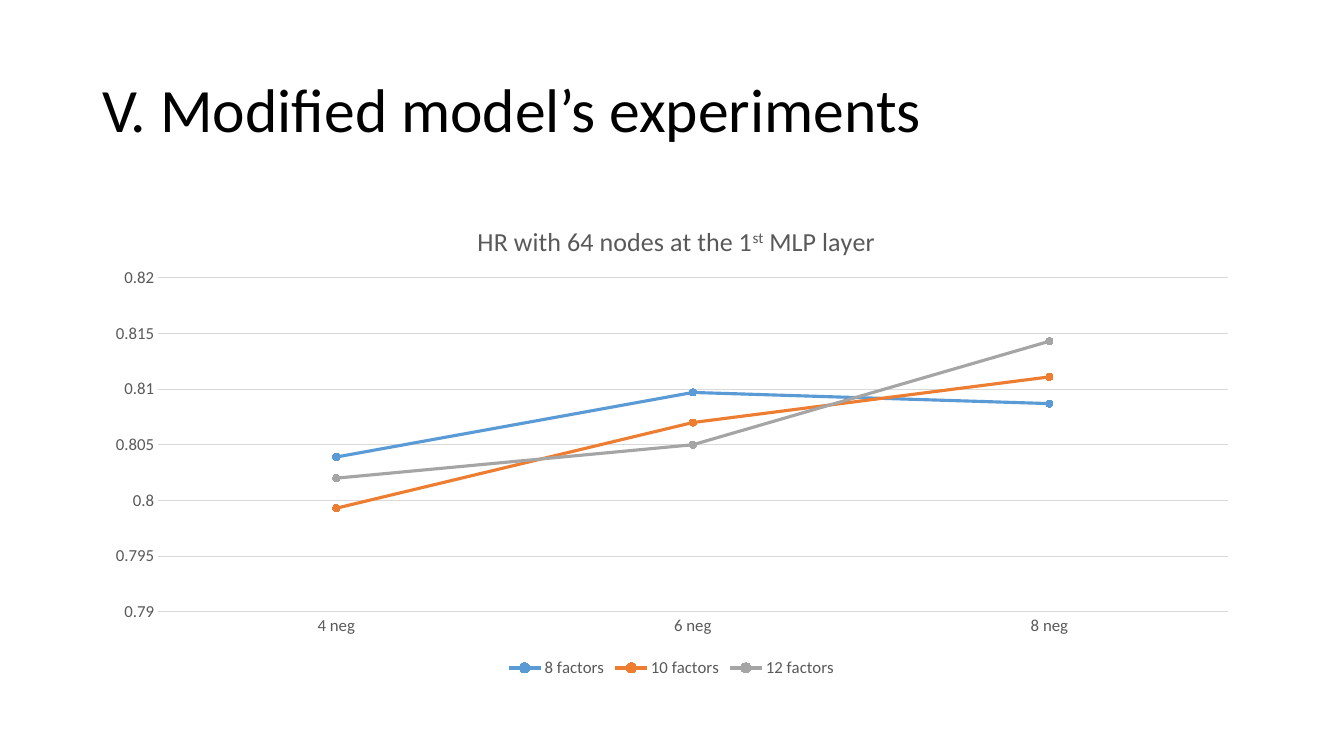
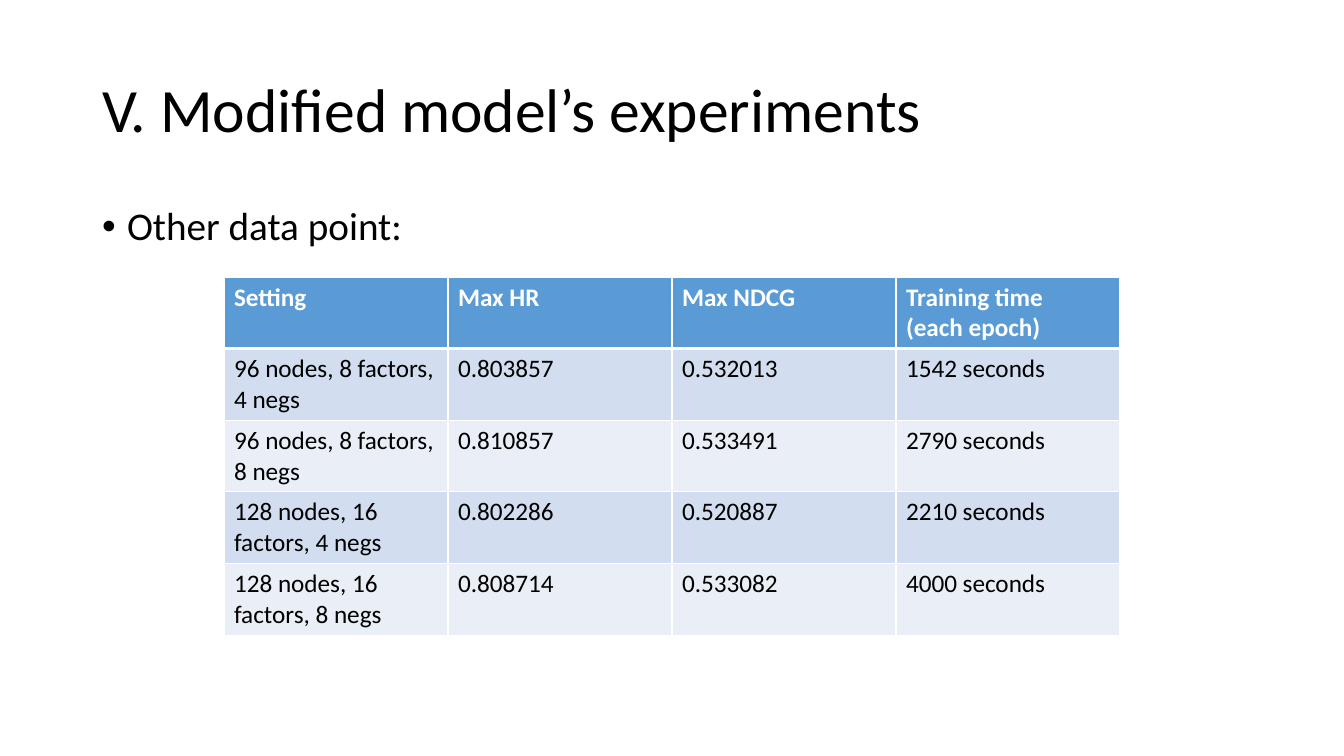
from lxml import etree
from pptx import Presentation
from pptx.chart.data import CategoryChartData
from pptx.dml.color import RGBColor
from pptx.enum.chart import (XL_CHART_TYPE, XL_LEGEND_POSITION, XL_MARKER_STYLE,
                             XL_TICK_MARK)
from pptx.enum.text import MSO_ANCHOR, MSO_AUTO_SIZE, PP_ALIGN
from pptx.oxml.ns import qn
from pptx.util import Pt

# Shared style
EMU_PER_PX = 914400 / 100.8
FONT = "Calibri"
BLACK, WHITE, GREY, RULE = "000000", "FFFFFF", "595959", "D9D9D9"
BLUE, ORANGE, SILVER = "5B9BD5", "ED7D31", "A5A5A5"
BANDS = ("D2DEEF", "EAEFF7")
TITLE_BOX = (92, 40, 1159, 146)
BODY_BOX = (92, 202, 1159, 480)
TITLE = "V. Modified model’s experiments"

LINE_MARKERS = XL_CHART_TYPE.LINE_MARKERS
LEGEND_BOTTOM = XL_LEGEND_POSITION.BOTTOM
CIRCLE = XL_MARKER_STYLE.CIRCLE
NO_TICK = XL_TICK_MARK.NONE
LEFT = PP_ALIGN.LEFT
MIDDLE, TOP = MSO_ANCHOR.MIDDLE, MSO_ANCHOR.TOP
NO_AUTOFIT = MSO_AUTO_SIZE.NONE

# Slide content
CATEGORIES = ("4 neg", "6 neg", "8 neg")
SERIES = (
    ("8 factors", BLUE, (0.8039, 0.8097, 0.8087)),
    ("10 factors", ORANGE, (0.7993, 0.8070, 0.8111)),
    ("12 factors", SILVER, (0.8020, 0.8050, 0.8143)),
)
ROWS = (
    ("Setting", "Max HR", "Max NDCG", "Training time\n(each epoch)"),
    ("96 nodes, 8 factors, 4 negs", "0.803857", "0.532013", "1542 seconds"),
    ("96 nodes, 8 factors, 8 negs", "0.810857", "0.533491", "2790 seconds"),
    ("128 nodes, 16 factors, 4 negs", "0.802286", "0.520887", "2210 seconds"),
    ("128 nodes, 16 factors, 8 negs", "0.808714", "0.533082", "4000 seconds"),
)


def px(n):
    return round(n * EMU_PER_PX)


def rgb(value):
    return RGBColor.from_string(value)


def style_font(font, size, color, bold=False):
    font.name, font.size, font.bold = FONT, Pt(size), bold
    font.color.rgb = rgb(color)


def add_run(p, text, size, color, bold=False):
    r = p.add_run()
    r.text = text
    style_font(r.font, size, color, bold)
    return r


def style_line(line, color, width):
    line.color.rgb = rgb(color)
    line.width = Pt(width)


# Placeholders
def fill_placeholder(sp, box, text, size, anchor):
    sp.left, sp.top, sp.width, sp.height = map(px, box)
    tf = sp.text_frame
    tf.auto_size = NO_AUTOFIT
    tf.vertical_anchor = anchor
    p = tf.paragraphs[0]
    p.alignment = LEFT
    p.line_spacing = 0.9
    add_run(p, text, size, BLACK)
    return p


def add_slide(prs, layout_name):
    s = prs.slides.add_slide(prs.slide_layouts.get_by_name(layout_name))
    fill_placeholder(s.shapes.title, TITLE_BOX, TITLE, 44, MIDDLE)
    return s


def add_bullet(s, text):
    p = fill_placeholder(s.placeholders[1], BODY_BOX, text, 28, TOP)
    p.space_before = Pt(10)
    pPr = p._p.get_or_add_pPr()
    pPr.set("marL", str(px(25)))
    pPr.set("indent", str(-px(25)))
    etree.SubElement(pPr, qn("a:buFont"), typeface="Arial")
    etree.SubElement(pPr, qn("a:buChar"), char="•")


# Chart
def set_layout(parent, index, **fractions):
    """Place a chart part by fractions of the chart's size."""
    for old in parent.findall(qn("c:layout")):
        parent.remove(old)
    layout = etree.Element(qn("c:layout"))
    manual = etree.SubElement(layout, qn("c:manualLayout"))
    if "w" in fractions:
        etree.SubElement(manual, qn("c:layoutTarget"), val="inner")
    for mode in ("xMode", "yMode"):
        etree.SubElement(manual, qn("c:" + mode), val="edge")
    for key, value in fractions.items():
        etree.SubElement(manual, qn("c:" + key), val=str(value))
    parent.insert(index, layout)


def style_axis(axis):
    axis.major_tick_mark = axis.minor_tick_mark = NO_TICK
    style_font(axis.tick_labels.font, 12, GREY)


def add_chart_title(chart):
    p = chart.chart_title.text_frame.paragraphs[0]
    add_run(p, "HR with 64 nodes at the 1", 18.6, GREY)
    r = add_run(p, "st", 18.6, GREY)
    r.font._element.set("baseline", "30000")
    add_run(p, " MLP layer", 18.6, GREY)
    chart.chart_title.include_in_layout = False
    set_layout(chart.chart_title._element, 1, x=0.33, y=0.04)


def add_line_chart(s):
    data = CategoryChartData()
    data.categories = CATEGORIES
    for name, _, values in SERIES:
        data.add_series(name, values)
    chart = s.shapes.add_chart(LINE_MARKERS, *map(px, BODY_BOX), data).chart
    style_font(chart.font, 10, BLACK)
    add_chart_title(chart)

    chart.has_legend = True
    chart.legend.position = LEGEND_BOTTOM
    chart.legend.include_in_layout = False
    style_font(chart.legend.font, 12, GREY)

    style_axis(chart.category_axis)
    style_line(chart.category_axis.format.line, RULE, 0.75)
    axis = chart.value_axis
    style_axis(axis)
    axis.minimum_scale, axis.maximum_scale, axis.major_unit = 0.79, 0.82, 0.005
    axis.tick_labels.number_format = "General"
    axis.tick_labels.number_format_is_linked = False
    axis.format.line.fill.background()
    style_line(axis.major_gridlines.format.line, RULE, 0.75)

    plot = chart.plots[0]
    plot.vary_by_categories = False
    for series, (_, color, _) in zip(plot.series, SERIES):
        series.smooth = False
        style_line(series.format.line, color, 2.25)
        marker = series.marker
        marker.style, marker.size = CIRCLE, 5
        marker.format.fill.solid()
        marker.format.fill.fore_color.rgb = rgb(color)
        style_line(marker.format.line, color, 0.75)
    plot_area = chart._chartSpace.find(".//" + qn("c:plotArea"))
    set_layout(plot_area, 0, x=0.057, y=0.158, w=0.923, h=0.696)


# Table
def set_borders(cell, **widths):
    tcPr = cell._tc.get_or_add_tcPr()
    for side in "LRTB":
        ln = etree.SubElement(tcPr, qn("a:ln" + side),
                              w=str(Pt(widths.get(side, 1))))
        fill = etree.SubElement(ln, qn("a:solidFill"))
        etree.SubElement(fill, qn("a:srgbClr"), val=WHITE)


def fill_cell(cell, text, row):
    header = row == 0
    set_borders(cell, B=3 if header else 1, T=3 if row == 1 else 1)
    cell.fill.solid()
    cell.fill.fore_color.rgb = rgb(BLUE if header else BANDS[(row - 1) % 2])
    tf = cell.text_frame
    for i, line in enumerate(text.split("\n")):
        p = tf.add_paragraph() if i else tf.paragraphs[0]
        add_run(p, line, 18, WHITE if header else BLACK, header)


def add_results_table(s):
    row_height, col_width = 71, 224
    n_rows, n_cols = len(ROWS), len(ROWS[0])
    table = s.shapes.add_table(n_rows, n_cols, px(224), px(277),
                               px(n_cols * col_width),
                               px(n_rows * row_height)).table
    table.first_row = table.horz_banding = False
    for row, texts in enumerate(ROWS):
        for col, text in enumerate(texts):
            fill_cell(table.cell(row, col), text, row)


def main():
    prs = Presentation()
    prs.slide_width, prs.slide_height = px(1344), px(756)

    add_line_chart(add_slide(prs, "Title Only"))

    s = add_slide(prs, "Title and Content")
    add_bullet(s, "Other data point:")
    add_results_table(s)

    prs.save("out.pptx")


if __name__ == "__main__":
    main()
